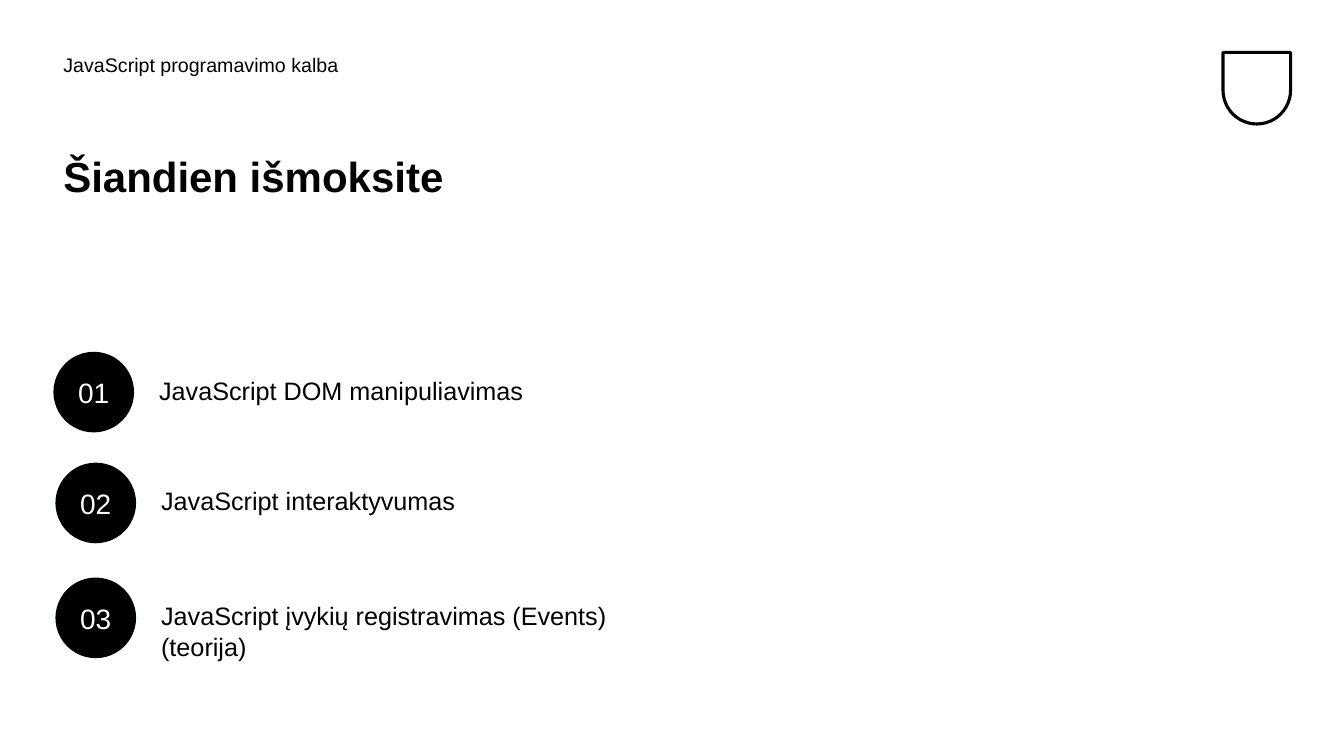
from pptx import Presentation
from pptx import util as u
from pptx.dml.color import RGBColor
from pptx.enum import shapes, text

COLORS = {"ink": "000000", "paper": "FEFFFF"}
TOPICS = [
    (0.53, 3.49, "JavaScript DOM manipuliavimas"),
    (0.55, 4.59, "JavaScript interaktyvumas"),
    (0.55, 5.73, "JavaScript įvykių registravimas (Events) (teorija)"),
]


class SlideBuilder:
    font_name = "Arial"

    def __init__(self, slide):
        self.slide = slide

    def color(self, name):
        return RGBColor.from_string(COLORS[name])

    def background(self, name):
        fill = self.slide.background.fill
        fill.solid()
        fill.fore_color.rgb = self.color(name)

    def set_words(self, shape, words, size, color="ink", bold=False, spacing=None):
        shape.text_frame.text = words
        paragraph = shape.text_frame.paragraphs[0]
        if spacing:
            paragraph.line_spacing = spacing
        font = paragraph.runs[0].font
        font.name = self.font_name
        font.size = u.Pt(size)
        font.bold = bold
        font.color.rgb = self.color(color)
        return paragraph

    def label(self, box, words, size, bold=False, spacing=None):
        shape = self.slide.shapes.add_textbox(*map(u.Inches, box))
        shape.text_frame.word_wrap = True
        self.set_words(shape, words, size, bold=bold, spacing=spacing)

    def badge(self, left, top, number):
        box = (left, top, 0.8, 0.8)
        shape = self.slide.shapes.add_shape(
            shapes.MSO_SHAPE.OVAL, *map(u.Inches, box))
        shape.shadow.inherit = False
        shape.fill.solid()
        shape.fill.fore_color.rgb = self.color("ink")
        shape.line.fill.background()
        shape.text_frame.vertical_anchor = text.MSO_ANCHOR.MIDDLE
        paragraph = self.set_words(shape, number, 20, "paper")
        paragraph.alignment = text.PP_ALIGN.CENTER

    def shield(self, box):
        shape = self.slide.shapes.add_shape(
            shapes.MSO_SHAPE.ROUND_2_SAME_RECTANGLE, *map(u.Inches, box))
        shape.adjustments[0] = 0.5
        shape.rotation = 180
        shape.shadow.inherit = False
        shape.fill.background()
        shape.line.color.rgb = self.color("ink")
        shape.line.width = u.Pt(2.25)


def main():
    presentation = Presentation()
    presentation.slide_width = u.Inches(13.33)
    presentation.slide_height = u.Inches(7.5)
    slide = presentation.slides.add_slide(presentation.slide_layouts[6])
    builder = SlideBuilder(slide)

    builder.background("paper")
    builder.shield((12.13, 0.52, 0.67, 0.71))
    builder.label((0.53, 0.5, 7.42, 0.5), "JavaScript programavimo kalba", 14,
                  spacing=0.9)
    builder.label((0.53, 1.5, 5.64, 1.49), "Šiandien išmoksite", 30,
                  bold=True, spacing=0.9)
    for number, (left, top, topic) in enumerate(TOPICS, start=1):
        builder.label((left + 0.95, top + 0.18, 4.63, 0.45), topic, 18)
        builder.badge(left, top, f"{number:02d}")

    presentation.save("out.pptx")


if __name__ == "__main__":
    main()
